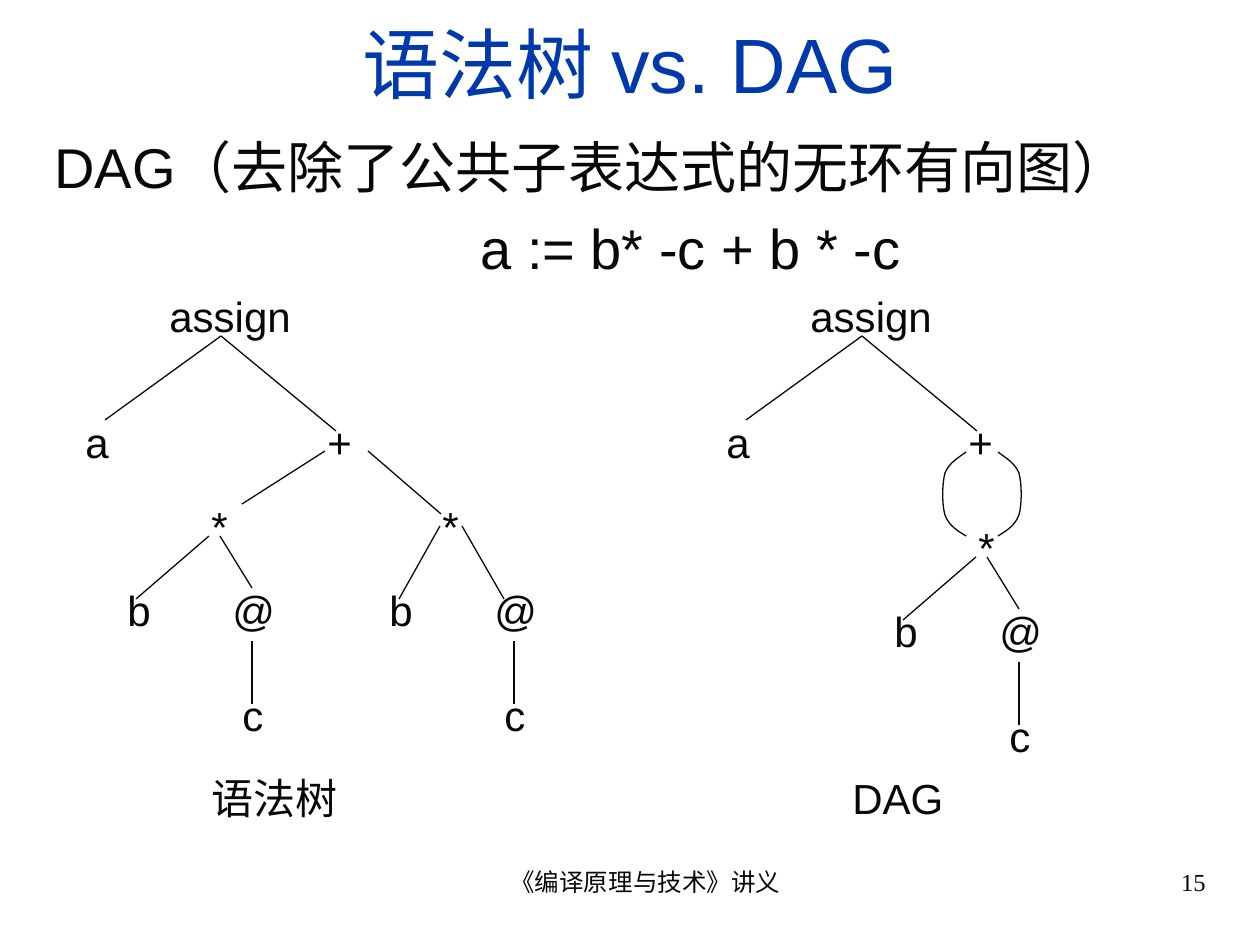
from lxml import etree
from pptx import Presentation
from pptx.dml.color import RGBColor
from pptx.enum.shapes import MSO_CONNECTOR
from pptx.enum.text import MSO_ANCHOR, PP_ALIGN
from pptx.oxml.ns import qn
from pptx.util import Pt

PX = 914400 / 126
INK = RGBColor(0x08, 0x08, 0x08)
BLUE = RGBColor(0x00, 0x39, 0xAC)
LEFT, CENTER, RIGHT = PP_ALIGN.LEFT, PP_ALIGN.CENTER, PP_ALIGN.RIGHT
TOP, MIDDLE = MSO_ANCHOR.TOP, MSO_ANCHOR.MIDDLE
STRAIGHT = MSO_CONNECTOR.STRAIGHT

# Offsets from the "*" label: b label, @ label, then the two branch lines
NARROW = ((-84, 84), (21, 84), (10, 42, -63, 105), (21, 42, 53, 94))
WIDE = ((-53, 84), (52, 84), (10, 32, -31, 105), (32, 32, 74, 105))

# Start point and control points of one bowed edge, as distances from its start
BOW = ((0, 0), (8, 6), (17, 11), (21, 21), (24, 32), (24, 53),
       (21, 63), (17, 74), (8, 79), (0, 84))


def emu(pixels):
    return round(pixels * PX)


def add_text(slide, box, *lines, size=24, font="Arial", color=INK,
             align=LEFT, anchor=TOP, before=0, indents=((0, 0),)):
    """Each line is a paragraph; indents holds its (margin, first line)."""
    frame = slide.shapes.add_textbox(*map(emu, box)).text_frame
    frame.word_wrap = True
    frame.vertical_anchor = anchor
    for index, (line, (margin, first)) in enumerate(zip(lines, indents)):
        paragraph = frame.add_paragraph() if index else frame.paragraphs[0]
        paragraph.alignment = align
        paragraph.space_before = Pt(before)
        properties = paragraph._p.get_or_add_pPr()
        properties.set("marL", str(emu(margin)))
        properties.set("indent", str(emu(first)))
        run = paragraph.add_run()
        run.text = line
        run.font.size = Pt(size)
        run.font.name = font
        run.font.color.rgb = color


def add_node(slide, text, left, top, width=84):
    add_text(slide, (left, top, width, 63), text)


def style_line(shape):
    shape.line.color.rgb = INK
    shape.line.width = Pt(0.75)


def add_edge(slide, left, top, line):
    x1, y1, x2, y2 = line
    edge = slide.shapes.add_connector(
        STRAIGHT, emu(left + x1), emu(top + y1), emu(left + x2), emu(top + y2))
    style_line(edge)
    etree.SubElement(edge._element.spPr, qn("a:effectLst"))


def add_bow(slide, left, top, side):
    points = [(left + side * x, top + y) for x, y in BOW]
    builder = slide.shapes.build_freeform(*points[0], scale=PX)
    builder.add_line_segments(points[1:], close=False)
    bow = builder.convert_to_shape()
    # Every three straight segments become one cubic curve
    segments = bow._element.xpath(".//a:lnTo")
    for start in range(0, len(segments), 3):
        curve = etree.Element(qn("a:cubicBezTo"))
        segments[start].addprevious(curve)
        for segment in segments[start:start + 3]:
            curve.append(segment[0])
            segment.getparent().remove(segment)
    bow.fill.background()
    bow.shadow.inherit = False
    style_line(bow)


def add_product(slide, left, top, layout):
    """Subtree b * (@ c), placed from its "*" label."""
    b_offset, at_offset, *branches = layout
    add_node(slide, "*", left, top)
    add_node(slide, "b", left + b_offset[0], top + b_offset[1])
    at_left, at_top = left + at_offset[0], top + at_offset[1]
    add_node(slide, "@", at_left, at_top)
    add_node(slide, "c", at_left + 10, at_top + 105)
    for branch in branches:
        add_edge(slide, left, top, branch)
    add_edge(slide, at_left, at_top, (32, 63, 32, 126))


def add_assignment(slide, left, top, caption):
    """Upper part shared by both diagrams, with the caption below."""
    add_node(slide, "assign", left + 84, top, width=168)
    add_node(slide, "a", left, top + 126)
    add_node(slide, "+", left + 242, top + 126)
    for end in ((32, 136), (263, 147)):
        add_edge(slide, left, top, (148, 52, *end))
    add_node(slide, caption, left + 126, top + 482, width=189)


def add_syntax_tree(slide, left, top):
    add_assignment(slide, left, top, "语法树")
    add_edge(slide, left, top, (252, 167, 169, 220))
    add_edge(slide, left, top, (295, 167, 368, 230))
    add_product(slide, left + 126, top + 210, NARROW)
    add_product(slide, left + 357, top + 210, WIDE)


def add_dag(slide, left, top):
    add_assignment(slide, left, top, "DAG")
    add_bow(slide, left + 252, top + 168, -1)
    add_bow(slide, left + 284, top + 168, 1)
    add_product(slide, left + 252, top + 231, NARROW)


def add_heading(slide, left, top, width):
    add_text(slide, (left, top, width, 105), "语法树 vs. DAG",
             size=44, color=BLUE, align=CENTER, anchor=MIDDLE)
    add_text(slide, (left, top + 116, width, 693),
             "DAG（去除了公共子表达式的无环有向图）", "a := b* -c + b * -c",
             size=32, before=8, indents=((48, -48), (426, 0)))


def add_footer(slide, left, top):
    style = {"size": 14, "font": "Times New Roman", "indents": ((30, 0),)}
    add_text(slide, (left, top, 399, 66), "《编译原理与技术》讲义",
             align=CENTER, **style)
    add_text(slide, (left + 472, top, 315, 66), "15", align=RIGHT, **style)


def main():
    presentation = Presentation()
    presentation.slide_width = emu(1260)
    presentation.slide_height = emu(945)
    slide = presentation.slides.add_slide(presentation.slide_layouts[6])
    add_heading(slide, 42, 10, 1177)
    add_syntax_tree(slide, 73, 284)
    add_dag(slide, 714, 284)
    add_footer(slide, 431, 861)
    presentation.save("out.pptx")


if __name__ == "__main__":
    main()
